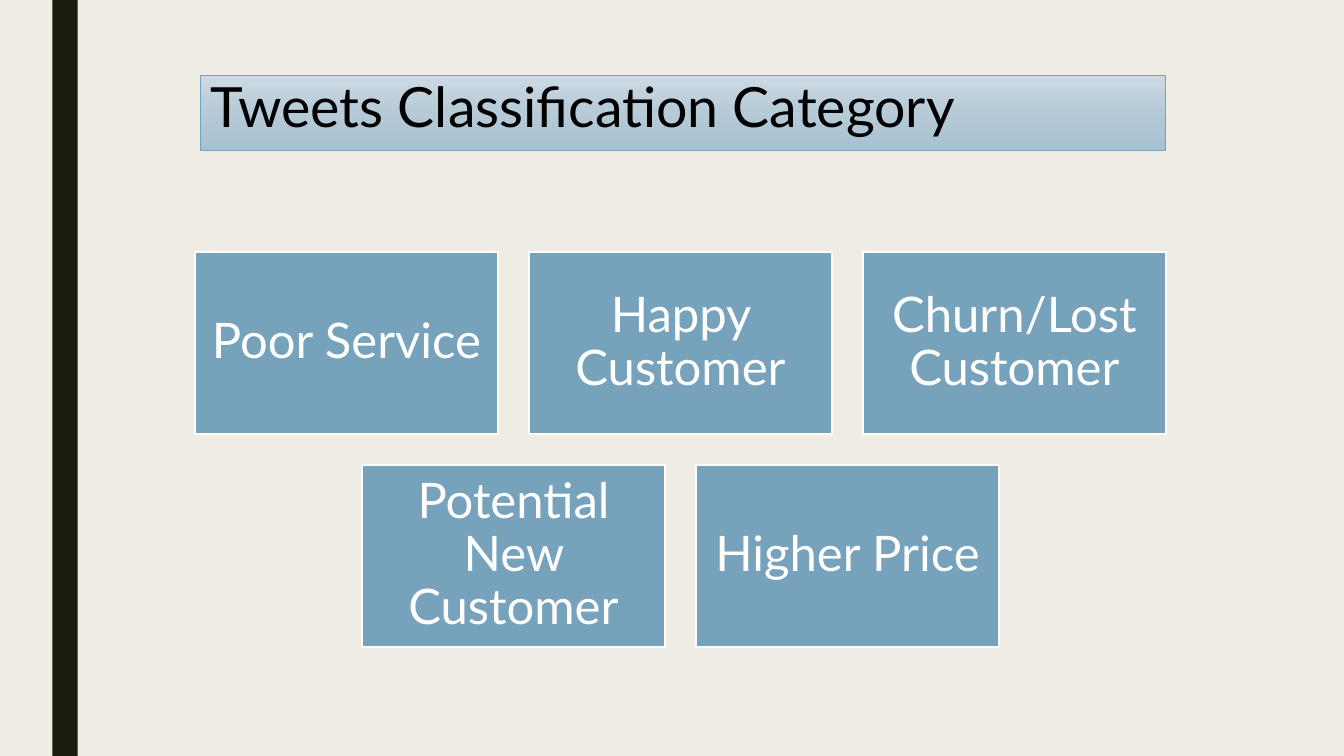
import copy

import pptx
import pptx.dml.color
import pptx.enum.shapes
import pptx.enum.text
import pptx.util

Cm = pptx.util.Cm
Pt = pptx.util.Pt
FONT = "Lato"
COLOURS = {
    "background": "EFEDE3",
    "stripe": "191B0E",
    "accent": "77A2BB",
    "title_top": "CCDAE3",
    "title_middle": "B6CAD7",
    "title_bottom": "A7C1D2",
    "white": "FFFFFF",
    "black": "000000",
}
CATEGORY_ROWS = [
    ["Poor Service", "Happy Customer", "Churn/Lost Customer"],
    ["Potential New Customer", "Higher Price"],
]


def colour(name):
    return pptx.dml.color.RGBColor.from_string(COLOURS[name])


def paint(fill, name):
    fill.solid()
    fill.fore_color.rgb = colour(name)


def outline(shape, name, width):
    shape.line.color.rgb = colour(name)
    shape.line.width = Pt(width)


def write(shape, text, size, colour_name, alignment, line_spacing):
    shape.text_frame.text = text
    paragraph = shape.text_frame.paragraphs[0]
    paragraph.alignment = alignment
    paragraph.line_spacing = line_spacing
    font = paragraph.runs[0].font
    font.name = FONT
    font.size = Pt(size)
    font.color.rgb = colour(colour_name)


def add_rectangle(shapes, left, top, width, height, fill_name):
    rectangle = shapes.add_shape(
        pptx.enum.shapes.MSO_SHAPE.RECTANGLE, Cm(left), Cm(top), Cm(width), Cm(height)
    )
    rectangle.shadow.inherit = False
    paint(rectangle.fill, fill_name)
    return rectangle


def add_stripe(slide, left, top, width, height):
    stripe = add_rectangle(slide.shapes, left, top, width, height, "stripe")
    stripe.line.fill.background()


def fill_title(slide, left, top, width, height):
    title = slide.shapes.title
    title.left, title.top = Cm(left), Cm(top)
    title.width, title.height = Cm(width), Cm(height)
    title.fill.gradient()
    title.fill.gradient_angle = 270
    first_stop = title._element.spPr.find(".//" + pptx.oxml.ns.qn("a:gs"))
    first_stop.addnext(copy.deepcopy(first_stop))
    names = ["title_top", "title_middle", "title_bottom"]
    for stop, name, position in zip(title.fill.gradient_stops, names, [0, 0.5, 1]):
        stop.color.rgb = colour(name)
        stop.position = position
    outline(title, "accent", 0.5)
    write(title, "Tweets Classification Category", 39.6, "black",
          pptx.enum.text.PP_ALIGN.LEFT, 0.89)
    title.text_frame.auto_size = pptx.enum.text.MSO_AUTO_SIZE.NONE
    title.text_frame.vertical_anchor = pptx.enum.text.MSO_ANCHOR.TOP


def add_category(shapes, text, left, top, width, height):
    category = add_rectangle(shapes, left, top, width, height, "accent")
    outline(category, "white", 1.5)
    frame = category.text_frame
    frame.word_wrap = True
    frame.vertical_anchor = pptx.enum.text.MSO_ANCHOR.MIDDLE
    frame.margin_left = frame.margin_right = Cm(0.37)
    frame.margin_top = frame.margin_bottom = Cm(0.37)
    write(category, text, 35, "white", pptx.enum.text.PP_ALIGN.CENTER, 0.9)


def add_categories(slide, left, top, width, height):
    group = slide.shapes.add_group_shape()
    gap = 0.77
    columns = max(len(row) for row in CATEGORY_ROWS)
    box_width = (width - (columns - 1) * gap) / columns
    box_height = (height - (len(CATEGORY_ROWS) - 1) * gap) / len(CATEGORY_ROWS)
    for row_index, row in enumerate(CATEGORY_ROWS):
        row_left = left + (columns - len(row)) * (box_width + gap) / 2
        box_top = top + row_index * (box_height + gap)
        for column_index, text in enumerate(row):
            box_left = row_left + column_index * (box_width + gap)
            add_category(group.shapes, text, box_left, box_top, box_width, box_height)


def build_slide(presentation):
    slide = presentation.slides.add_slide(presentation.slide_layouts[5])
    paint(slide.background.fill, "background")
    add_stripe(slide, 1.32, 0, 0.64, 19.05)
    fill_title(slide, 5.05, 1.9, 24.33, 1.88)
    add_categories(slide, 4.91, 6.35, 24.48, 9.95)


presentation = pptx.Presentation()
presentation.slide_width = Cm(33.87)
presentation.slide_height = Cm(19.05)
build_slide(presentation)
presentation.save("out.pptx")
